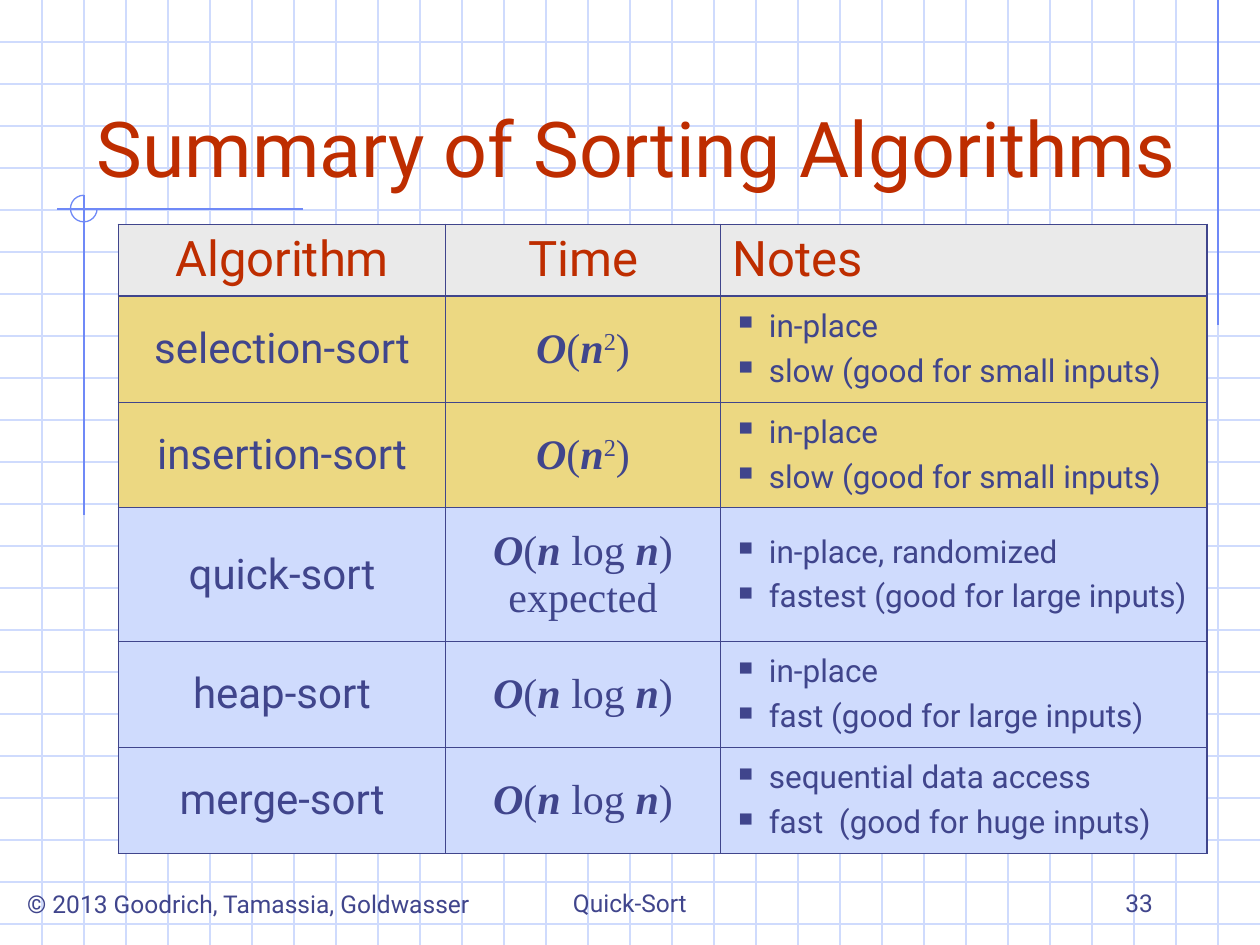
"""Build the slide that summarises five sorting algorithms in a table."""
from lxml import etree
from pptx import Presentation
from pptx import util as u
from pptx.dml import color
from pptx.enum import shapes, text
from pptx.oxml import ns

SANS, SERIF = "Roboto", "Times New Roman"
INK, RED, GRID, ACCENT = "40458C", "BE2D00", "CFDBFD", "6F89F7"
GREY, GOLD, BLUE = "EAEAEA", "ECD882", "CFDBFD"
THIN, THICK = 0.45, 1.08
WIDTH, HEIGHT, STEP = 720, 540, 24

TITLE = "Summary of Sorting Algorithms"
HEADERS = ["Algorithm", "Time", "Notes"]
SQUARE = ["O", "(", "n", "2", ")"]
LOG = ["O", "(", "n", " log ", "n", ")"]
ALGORITHMS = [
    ("selection-sort", SQUARE, ["in-place", "slow (good for small inputs)"], GOLD),
    ("insertion-sort", SQUARE, ["in-place", "slow (good for small inputs)"], GOLD),
    ("quick-sort", LOG + ["\v", "expected"],
     ["in-place, randomized", "fastest (good for large inputs)"], BLUE),
    ("heap-sort", LOG, ["in-place", "fast (good for large inputs)"], BLUE),
    ("merge-sort", LOG, ["sequential data access", "fast  (good for huge inputs)"], BLUE),
]
COLUMN_WIDTHS = [187, 157, 278]
ROW_HEIGHTS = [41, 60.5, 60.5, 76.5, 60.5, 60.5]
TABLE_LEFT, TABLE_TOP = 67.7, 128.2
ACCENT_LINES = [(696, 0, 696, 186), (173, 119.5, 32.5, 119.5), (48, 111.6, 48, 294.5)]
CENTER, LEFT, RIGHT = text.PP_ALIGN.CENTER, text.PP_ALIGN.LEFT, text.PP_ALIGN.RIGHT
FOOTERS = [
    ("© 2013 Goodrich, Tamassia, Goldwasser", 2, 280, 504, 24.5, CENTER, False),
    ("Quick-Sort", 246, 228, 492, 36, CENTER, True),
    ("33", 516, 150, 492, 36, RIGHT, True),
]


def rgb(value):
    return color.RGBColor.from_string(value)


def format_run(run, size, ink=INK, name=SANS):
    run.font.size, run.font.name = u.Pt(size), name
    run.font.color.rgb = rgb(ink)


def set_paragraph(paragraph, words, size, ink=INK, align=LEFT):
    paragraph.text, paragraph.alignment = words, align
    for run in paragraph.runs:
        format_run(run, size, ink)


def add_line(group, ends, ink):
    line = group.shapes.add_connector(shapes.MSO_CONNECTOR.STRAIGHT, *map(u.Pt, ends))
    line.line.color.rgb, line.line.width = rgb(ink), u.Pt(0.75)
    etree.SubElement(line._element.spPr, ns.qn("a:effectLst"))


def add_background(slide):
    group = slide.shapes.add_group_shape()
    for y in range(STEP, HEIGHT, STEP):
        add_line(group, (0, y, WIDTH, y), GRID)
    for x in range(STEP, WIDTH, STEP):
        add_line(group, (x, 0, x, HEIGHT), GRID)
    for ends in ACCENT_LINES:
        add_line(group, ends, ACCENT)
    arc = group.shapes.add_shape(
        shapes.MSO_SHAPE.ARC, u.Pt(40.3), u.Pt(111.6), u.Pt(15.2), u.Pt(15.2))
    arc.adjustments[0], arc.adjustments[1] = 0, 162
    arc.shadow.inherit = False
    arc.fill.background()
    arc.line.color.rgb, arc.line.width = rgb(ACCENT), u.Pt(0.75)


def add_title(slide):
    title = slide.shapes.title
    slide.shapes._spTree.append(title._element)
    title.left, title.top, title.width, title.height = map(u.Pt, (48, 24, 636, 90))
    title.text_frame.auto_size = text.MSO_AUTO_SIZE.NONE
    title.text_frame.vertical_anchor = text.MSO_ANCHOR.BOTTOM
    set_paragraph(title.text_frame.paragraphs[0], TITLE, 44, RED)


def add_footer(slide, words, left, width, top, height, align, wrap):
    box = slide.shapes.add_textbox(*map(u.Pt, (left, top, width, height)))
    box.text_frame.word_wrap = wrap
    box.text_frame.vertical_anchor = text.MSO_ANCHOR.BOTTOM
    set_paragraph(box.text_frame.paragraphs[0], words, 14, align=align)


def style_cell(cell, fill, borders):
    cell.vertical_anchor = text.MSO_ANCHOR.MIDDLE
    properties = cell._tc.get_or_add_tcPr()
    for side, width in zip("LRTB", borders):
        border = etree.SubElement(properties, ns.qn(f"a:ln{side}"), w=str(u.Pt(width)))
        solid = etree.SubElement(border, ns.qn("a:solidFill"))
        etree.SubElement(solid, ns.qn("a:srgbClr"), val=INK)
    cell.fill.solid()
    cell.fill.fore_color.rgb = rgb(fill)


def write_formula(cell, pieces):
    paragraph = cell.text_frame.paragraphs[0]
    paragraph.alignment = CENTER
    for piece in pieces:
        if piece == "\v":
            paragraph.add_line_break()
            continue
        run = paragraph.add_run()
        run.text = piece
        format_run(run, 24, name=SERIF)
        run.font.bold = run.font.italic = piece in ("O", "n")
        if piece == "2":
            run._r.get_or_add_rPr().set("baseline", "30000")


def write_notes(cell, notes):
    frame = cell.text_frame
    for index, note in enumerate(notes):
        paragraph = frame.add_paragraph() if index else frame.paragraphs[0]
        set_paragraph(paragraph, note, 18)
        if index:
            paragraph.space_before = u.Pt(4.5)
        properties = paragraph._p.get_or_add_pPr()
        properties.set("marL", str(u.Pt(20.5)))
        properties.set("indent", str(u.Pt(-20.5)))
        bullet_color = etree.SubElement(properties, ns.qn("a:buClr"))
        etree.SubElement(bullet_color, ns.qn("a:srgbClr"), val=INK)
        etree.SubElement(properties, ns.qn("a:buSzPct"), val="110000")
        etree.SubElement(properties, ns.qn("a:buChar"), char="▪")


def add_summary(slide):
    rows, columns = len(ROW_HEIGHTS), len(COLUMN_WIDTHS)
    table = slide.shapes.add_table(rows, columns, *map(u.Pt, (
        TABLE_LEFT, TABLE_TOP, sum(COLUMN_WIDTHS), sum(ROW_HEIGHTS)))).table
    table.first_row = table.horz_banding = False
    for column, width in zip(table.columns, COLUMN_WIDTHS):
        column.width = u.Pt(width)
    for row, height in zip(table.rows, ROW_HEIGHTS):
        row.height = u.Pt(height)
    fills = [GREY] + [fill for *_, fill in ALGORITHMS]
    for r in range(rows):
        for c in range(columns):
            edges = (c == 0, c == columns - 1, r < 2, r in (0, rows - 1))
            style_cell(table.cell(r, c), fills[r], [THICK if edge else THIN for edge in edges])
    for c, header in enumerate(HEADERS):
        set_paragraph(table.cell(0, c).text_frame.paragraphs[0], header, 28, RED,
                      LEFT if header == "Notes" else CENTER)
    for r, (name, time, notes, _) in enumerate(ALGORITHMS, 1):
        set_paragraph(table.cell(r, 0).text_frame.paragraphs[0], name, 24, align=CENTER)
        write_formula(table.cell(r, 1), time)
        write_notes(table.cell(r, 2), notes)


def main():
    presentation = Presentation()
    presentation.slide_width, presentation.slide_height = u.Pt(WIDTH), u.Pt(HEIGHT)
    slide = presentation.slides.add_slide(presentation.slide_layouts[5])
    add_background(slide)
    for footer in FOOTERS:
        add_footer(slide, *footer)
    add_title(slide)
    add_summary(slide)
    presentation.save("out.pptx")


if __name__ == "__main__":
    main()
